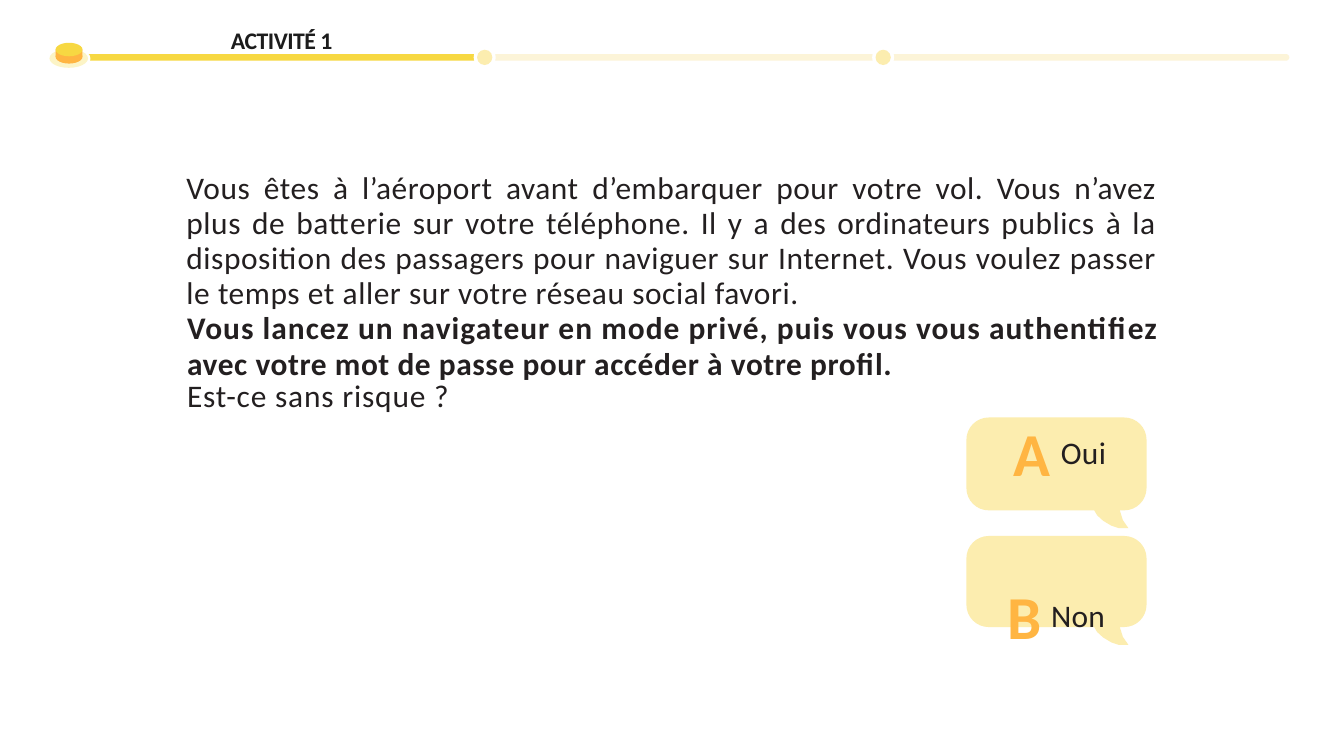
from math import cos, pi, sin

from pptx import Presentation
from pptx.dml.color import RGBColor
from pptx.enum.shapes import MSO_SHAPE as Preset
from pptx.enum.text import MSO_AUTO_SIZE as AutoSize, PP_ALIGN as Align
from pptx.util import Pt

INK, TITLE_INK = "231F20", "1C1C1C"
YELLOW, ORANGE, SAND, CREAM, HALO, WHITE = (
    "F7D842", "FFB542", "FCEDAF", "FCF4D8", "FCF4C6", "FFFFFF")

SCENARIO = (
    "Vous êtes à l’aéroport avant d’embarquer pour votre vol. Vous n’avez plus de "
    "batterie sur votre téléphone. Il y a des ordinateurs publics à la disposition "
    "des passagers pour naviguer sur Internet. Vous voulez passer le temps et aller "
    "sur votre réseau social favori.")

BODY = dict(size=Pt(37), bold=False, color=INK)
STRONG = BODY | dict(bold=True)
LETTER = dict(size=Pt(123.8), bold=True, color=ORANGE, baseline=-11)

BAR_MIDDLE, BAR_HEIGHT = 67.6, 7.9
BAR_STOPS = [98.6, 571, 1040.4, 1519]


def rgb(code):
    return RGBColor.from_string(code)


def paint(shape, color):
    shape.shadow.inherit = False
    shape.fill.solid()
    shape.fill.fore_color.rgb = rgb(color)
    shape.line.fill.background()


def add_preset(slide, preset, left, top, width, height, color):
    shape = slide.shapes.add_shape(preset, Pt(left), Pt(top), Pt(width), Pt(height))
    paint(shape, color)
    return shape


def add_disc(slide, center, diameter, color):
    add_preset(slide, Preset.OVAL, center - diameter / 2, BAR_MIDDLE - diameter / 2,
               diameter, diameter, color)


def add_bubble(slide, left, top, width, height, radius=26.3):
    """Draw a rounded speech bubble whose tail hangs below its body."""
    right, bottom = left + width, top + height
    tail = [(190.8, 20.9), (179.3, 20.9), (170.6, 18), (161, 12.2), (154, 5.8), (150.5, 0)]
    tail = [(180.7, 0), (184.3, 11.5)] + tail
    corners = [(right - radius, top + radius), (right - radius, bottom - radius),
               (left + radius, bottom - radius), (left + radius, top + radius)]
    outline = []
    for quarter, (x, y) in enumerate(corners):
        for step in range(9):
            angle = (quarter - 1 + step / 8) * pi / 2
            outline.append((x + radius * cos(angle), y + radius * sin(angle)))
        if quarter == 1:
            outline += [(left + dx, bottom + dy) for dx, dy in tail]
    points = [(Pt(x), Pt(y)) for x, y in outline]
    builder = slide.shapes.build_freeform(*points[0], scale=1.0)
    builder.add_line_segments(points[1:], close=True)
    paint(builder.convert_to_shape(), SAND)


def add_run(paragraph, text, size, bold, color, spacing=0, baseline=0):
    """Add a run; spacing is in points, baseline in percent of the size."""
    run = paragraph.add_run()
    run.text = text
    for name, value in dict(name="Calibri", size=size, bold=bold).items():
        setattr(run.font, name, value)
    run.font.color.rgb = rgb(color)
    properties = run._r.get_or_add_rPr()
    properties.set("spc", str(round(spacing * 100)))
    if baseline:
        properties.set("baseline", str(baseline * 1000))


def add_text(slide, left, top, width, height, inset_top, paragraphs):
    """Add a text box; each paragraph is (layout, indent, runs)."""
    box = slide.shapes.add_textbox(Pt(left), Pt(top), Pt(width), Pt(height))
    frame = box.text_frame
    layout = dict(margin_left=0, margin_right=0, margin_top=Pt(inset_top),
                  margin_bottom=0, word_wrap=True, auto_size=AutoSize.SHAPE_TO_FIT_TEXT)
    for name, value in layout.items():
        setattr(frame, name, value)
    for index, (spacing, indent, runs) in enumerate(paragraphs):
        paragraph = frame.add_paragraph() if index else frame.paragraphs[0]
        for name, value in spacing.items():
            setattr(paragraph, name, value)
        paragraph._p.get_or_add_pPr().set("marL", str(Pt(indent)))
        for text, style in runs:
            add_run(paragraph, text, **style)


def add_progress(slide):
    start, first_stop, second_stop, end = BAR_STOPS
    top = BAR_MIDDLE - BAR_HEIGHT / 2
    for preset, left, right, color in [
            (Preset.RECTANGLE, start, first_stop, YELLOW),
            (Preset.RECTANGLE, first_stop, second_stop, CREAM),
            (Preset.ROUNDED_RECTANGLE, second_stop, end, CREAM)]:
        segment = add_preset(slide, preset, left, top, right - left, BAR_HEIGHT, color)
    segment.adjustments[0] = 0.5
    for stop in (first_stop, second_stop):
        add_disc(slide, stop, 25.9, WHITE)
        add_disc(slide, stop, 18, SAND)


def add_puck(slide):
    """Draw the raised marker at the start of the progress bar."""
    for preset, left, top, width, height, color in [
            (Preset.OVAL, 56.2, 55.4, 50.4, 27.4, WHITE),
            (Preset.OVAL, 58.3, 57.6, 45.4, 22.3, HALO),
            (Preset.OVAL, 65.5, 59, 31.7, 15.9, ORANGE),
            (Preset.RECTANGLE, 65.5, 58.3, 31.7, 8.7, ORANGE),
            (Preset.OVAL, 65.5, 50.4, 31.7, 15.9, YELLOW)]:
        add_preset(slide, preset, left, top, width, height, color)


def main():
    deck = Presentation()
    deck.slide_width, deck.slide_height = Pt(1583.3), Pt(890.6)
    slide = deck.slides.add_slide(deck.slide_layouts[6])

    add_text(slide, 218.9, 191.5, 1145.5, 169.9, 10.2, [
        (dict(alignment=Align.JUSTIFY, line_spacing=Pt(41.2)), 0.7,
         [(SCENARIO, BODY | dict(spacing=0.7))])])

    add_bubble(slide, 1138.5, 491.8, 212.2, 109.4)
    add_bubble(slide, 1138.5, 631.4, 212.2, 107.3)

    add_text(slide, 218.2, 362.2, 1179.4, 354.2, 2.5, [
        (dict(line_spacing=Pt(42.8)), 2.2,
         [("Vous lancez un navigateur en mode privé, puis vous vous authentifiez",
           STRONG | dict(spacing=1.24))]),
        (dict(line_spacing=Pt(42.8)), 2.2,
         [("avec votre mot de passe pour accéder à votre profil.",
           STRONG | dict(spacing=0.7))]),
        (dict(line_spacing=Pt(33.8), space_before=Pt(3.2)), 2.2,
         [("Est-ce sans risque ?", BODY | dict(spacing=1))]),
        (dict(line_spacing=Pt(88.3)), 975.6,
         [("A ", LETTER | dict(spacing=-3.7)), ("Oui", BODY | dict(spacing=0.4))]),
        (dict(space_before=Pt(40.2)), 969.1,
         [("B ", LETTER | dict(spacing=-5.4)), ("Non", BODY | dict(spacing=0.3))])])

    add_progress(slide)
    add_puck(slide)
    add_text(slide, 271.4, 27.4, 130.3, 35.3, 2.6, [
        ({}, 0.7, [("ACTIVITÉ 1",
                    dict(size=Pt(28), bold=True, color=TITLE_INK, spacing=-0.6))])])
    deck.save("out.pptx")


if __name__ == "__main__":
    main()
